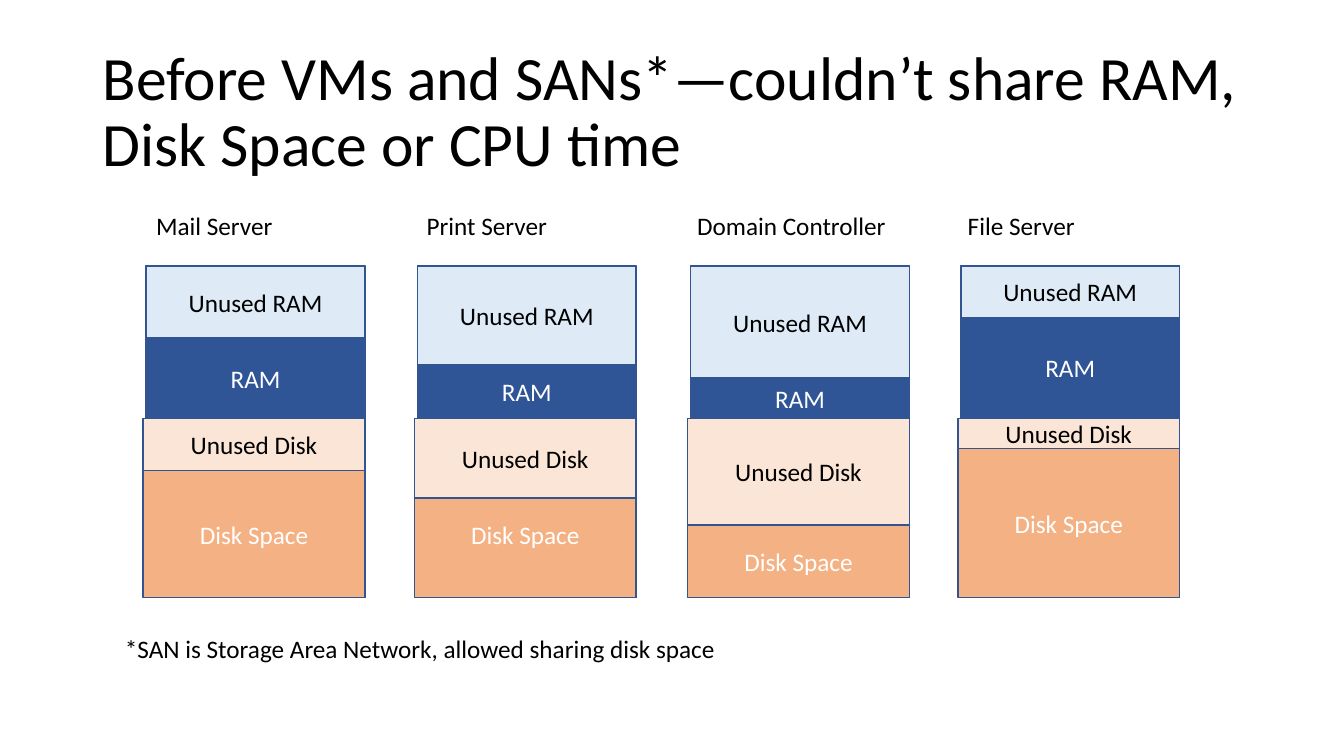
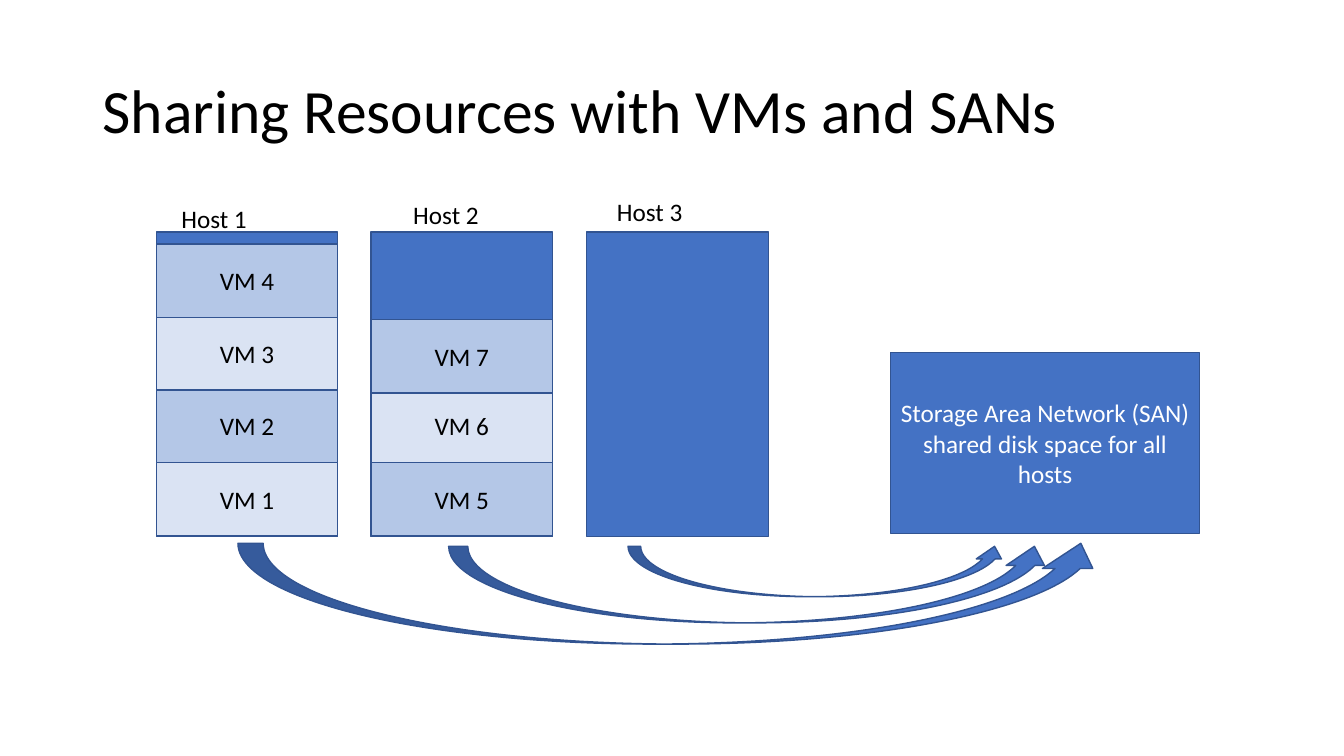
from pptx import Presentation
from pptx.dml.color import RGBColor
from pptx.enum.shapes import MSO_SHAPE
from pptx.enum.text import MSO_ANCHOR, MSO_AUTO_SIZE, PP_ALIGN
from pptx.util import Inches, Pt

RECT, CURVED_ARROW = MSO_SHAPE.RECTANGLE, MSO_SHAPE.CURVED_UP_ARROW
TOP, MIDDLE = MSO_ANCHOR.TOP, MSO_ANCHOR.MIDDLE
LEFT, CENTER = PP_ALIGN.LEFT, PP_ALIGN.CENTER
GROW = MSO_AUTO_SIZE.SHAPE_TO_FIT_TEXT

# Shared look; every length counts grid cells of one inch
CELL = Inches(1)
COLORS = {
    "black": "000000", "white": "FFFFFF", "outline": "325491", "host": "4472C4",
    "disk": "F4B183", "unused disk": "FBE5D6",
    "ram": "2F5597", "unused ram": "DEEBF7",
    "vm light": "DAE3F3", "vm dark": "B4C7E7",
}
BODY_FONT = {"name": "Calibri", "size": Pt(18)}
TITLE_FONT = {"name": "Calibri", "size": Pt(44)}
LABEL_FRAME = {"word_wrap": True, "vertical_anchor": TOP, "auto_size": GROW}
TITLE_FRAME = {"word_wrap": True, "vertical_anchor": MIDDLE}
BLOCK_FRAME = {"word_wrap": True, "vertical_anchor": MIDDLE}
LABEL_PARAGRAPH = {"alignment": LEFT}
TITLE_PARAGRAPH = {"alignment": LEFT, "line_spacing": 0.9}
BLOCK_PARAGRAPH = {"alignment": CENTER}
TITLE_BOX = (0.92, 0.4, 11.5, 1.45)
LABEL_HEIGHT = 0.4


def write(shape, text, color="black", frame_format=LABEL_FRAME,
          paragraph_format=LABEL_PARAGRAPH, font_format=BODY_FONT):
    frame = shape.text_frame
    paragraph = frame.paragraphs[0]
    paragraph.text = text
    for target, values in ((frame, frame_format), (paragraph, paragraph_format),
                           (paragraph.font, font_format)):
        for key, value in values.items():
            setattr(target, key, value)
    paragraph.font.color.rgb = RGBColor.from_string(COLORS[color])


def add_block(slide, box, fill, text="", color="black", kind=RECT):
    block = slide.shapes.add_shape(kind, *(int(n * CELL) for n in box))
    block.shadow.inherit = False
    block.fill.solid()
    block.fill.fore_color.rgb = RGBColor.from_string(COLORS[fill])
    block.line.color.rgb = RGBColor.from_string(COLORS["outline"])
    block.line.width = Pt(1)
    if text:
        write(block, text, color, BLOCK_FRAME, BLOCK_PARAGRAPH)


deck = Presentation()
deck.slide_width, deck.slide_height = int(13.33 * CELL), int(7.5 * CELL)
blank = deck.slide_layouts[6]

# Both slides with their titles
slides = []
for title in ("Before VMs and SANs*—couldn’t share RAM, Disk Space or CPU time",
              "Sharing Resources with VMs and SANs"):
    slide = deck.slides.add_slide(blank)
    title_box = slide.shapes.add_textbox(*(int(n * CELL) for n in TITLE_BOX))
    write(title_box, title, "black", TITLE_FRAME, TITLE_PARAGRAPH, TITLE_FONT)
    slides.append(slide)
before, sharing = slides

# Slide 1: each server has RAM above and disk below
SERVER_TOP, DISK_TOP, SERVER_BOTTOM = 2.64, 4.15, 5.93
SERVER_WIDTH, DISK_OVERHANG = 2.17, 0.03
LABEL_PITCH = 8.05 / 3
# name, left, top of used RAM, top of used disk, bottom of unused disk
servers = [
    ("Mail Server", 1.45, 3.35, 4.67, 4.67),
    ("Print Server", 4.14, 3.62, 4.67, 4.94),
    ("Domain Controller", 6.85, 3.75, 5.21, 5.21),
    ("File Server", 9.53, 3.15, 4.45, 4.45),
]
labels = []
for column, (name, left, ram_top, used_top, unused_bottom) in enumerate(servers):
    disk_left, disk_width = left - DISK_OVERHANG, SERVER_WIDTH + DISK_OVERHANG
    add_block(before, (left, SERVER_TOP, SERVER_WIDTH, SERVER_BOTTOM - SERVER_TOP), "host")
    add_block(before, (disk_left, used_top, disk_width, SERVER_BOTTOM - used_top),
              "disk", "Disk Space", "white")
    add_block(before, (disk_left, DISK_TOP, disk_width, unused_bottom - DISK_TOP),
              "unused disk", "Unused Disk")
    add_block(before, (left, SERVER_TOP, SERVER_WIDTH, ram_top - SERVER_TOP),
              "unused ram", "Unused RAM")
    add_block(before, (left, ram_top, SERVER_WIDTH, DISK_TOP - ram_top),
              "ram", "RAM", "white")
    labels.append((before, name, 1.45 + column * LABEL_PITCH, 2.04, SERVER_WIDTH))
labels.append((before, "*SAN is Storage Area Network, allowed sharing disk space",
               1.14, 6.23, 9.29))

# Slide 2: hosts filled with VMs from the bottom up
HOST_TOP, HOST_WIDTH, HOST_HEIGHT = 2.3, 1.8, 3.02
VM_HEIGHT = 0.73
# name, host left, label left, label top, tops of its VMs
hosts = [
    ("Host 1", 1.55, 1.7, 1.97, (4.59, 3.86, 3.14, 2.42)),
    ("Host 2", 3.68, 4, 1.93, (4.59, 3.86, 3.17)),
    ("Host 3", 5.82, 6.02, 1.9, ()),
]
vm_number = 0
for name, left, label_left, label_top, vm_tops in hosts:
    add_block(sharing, (left, HOST_TOP, HOST_WIDTH, HOST_HEIGHT), "host")
    for vm_top in vm_tops:
        vm_number += 1
        add_block(sharing, (left, vm_top, HOST_WIDTH, VM_HEIGHT),
                  "vm light" if vm_number % 2 else "vm dark" , f"VM {vm_number}") \
            if name == "Host 1" else \
            add_block(sharing, (left, vm_top, HOST_WIDTH, VM_HEIGHT),
                      "vm dark" if vm_number % 2 else "vm light", f"VM {vm_number}")
    labels.append((sharing, name, label_left, label_top, 1.41))

# Shared storage and the arrows from each host
add_block(sharing, (8.83, 3.5, 3.07, 1.79), "host",
          "Storage Area Network (SAN) shared disk space for all hosts", "white")
for host_arrow in ((6.23, 5.42, 3.76, 0.5), (4.45, 5.42, 6, 0.76), (2.36, 5.39, 8.61, 1)):
    add_block(sharing, host_arrow, "host", kind=CURVED_ARROW)

# Labels and footnote on top of the blocks
for slide, text, left, top, width in labels:
    label = slide.shapes.add_textbox(
        *(int(n * CELL) for n in (left, top, width, LABEL_HEIGHT)))
    write(label, text)

deck.save("out.pptx")
